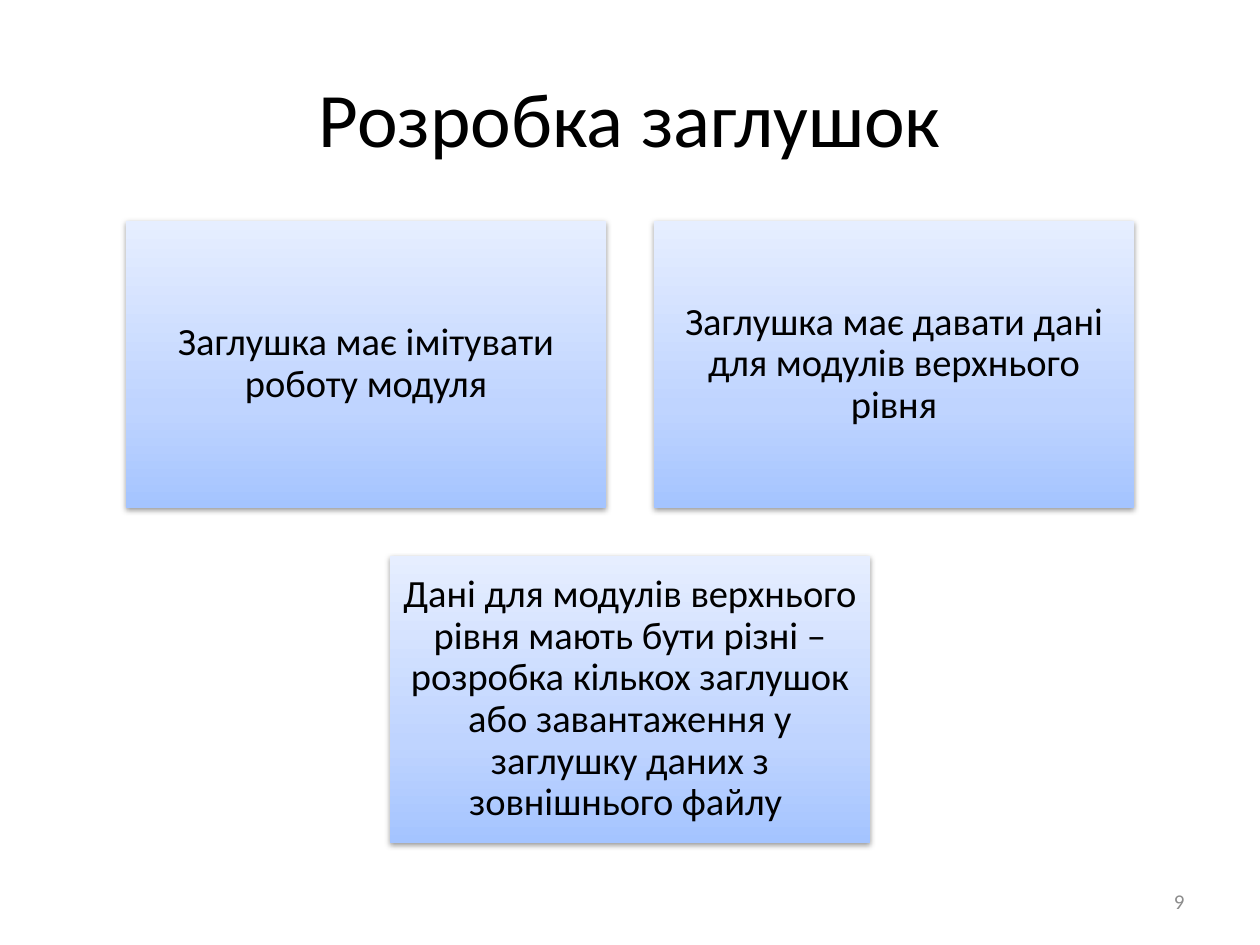
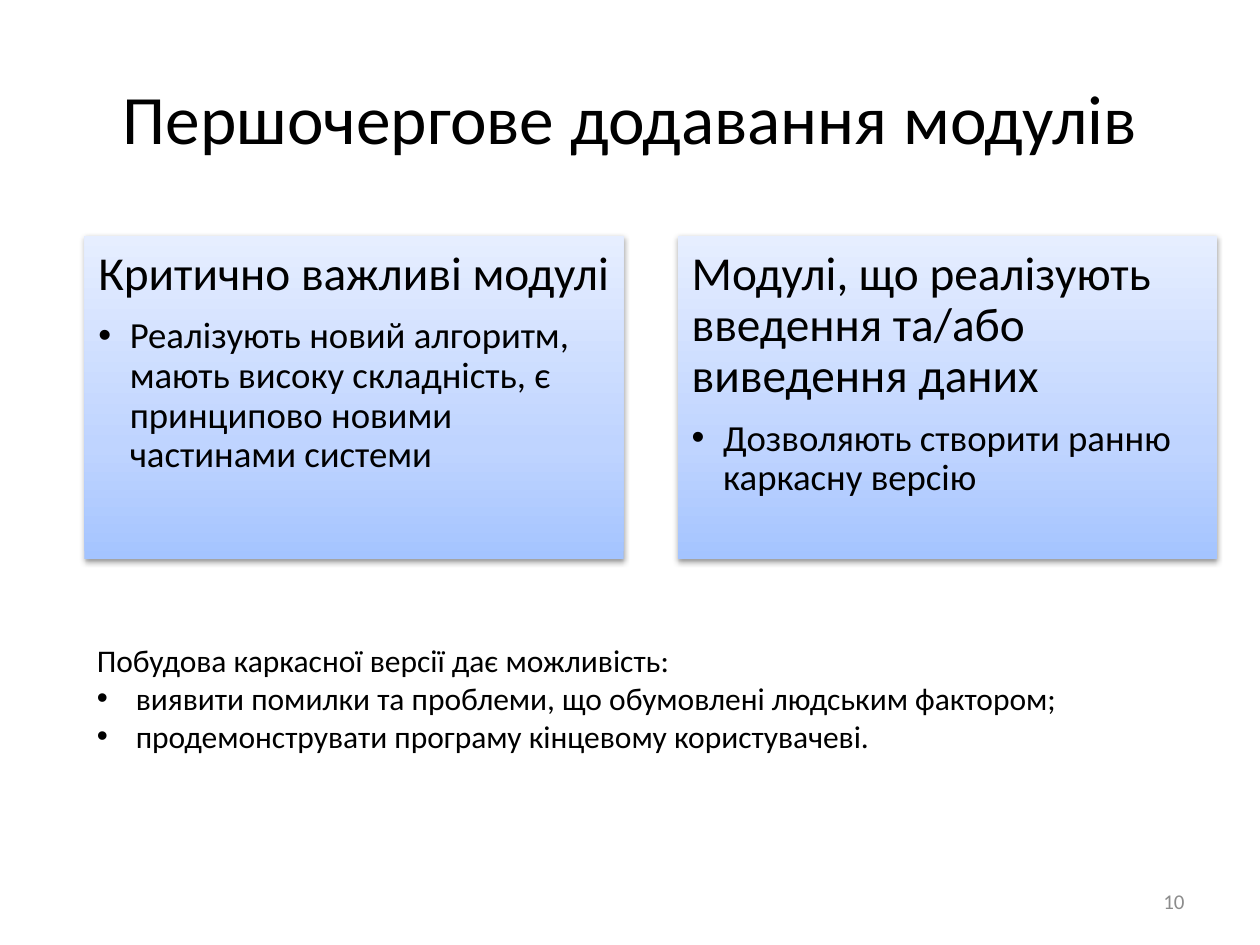
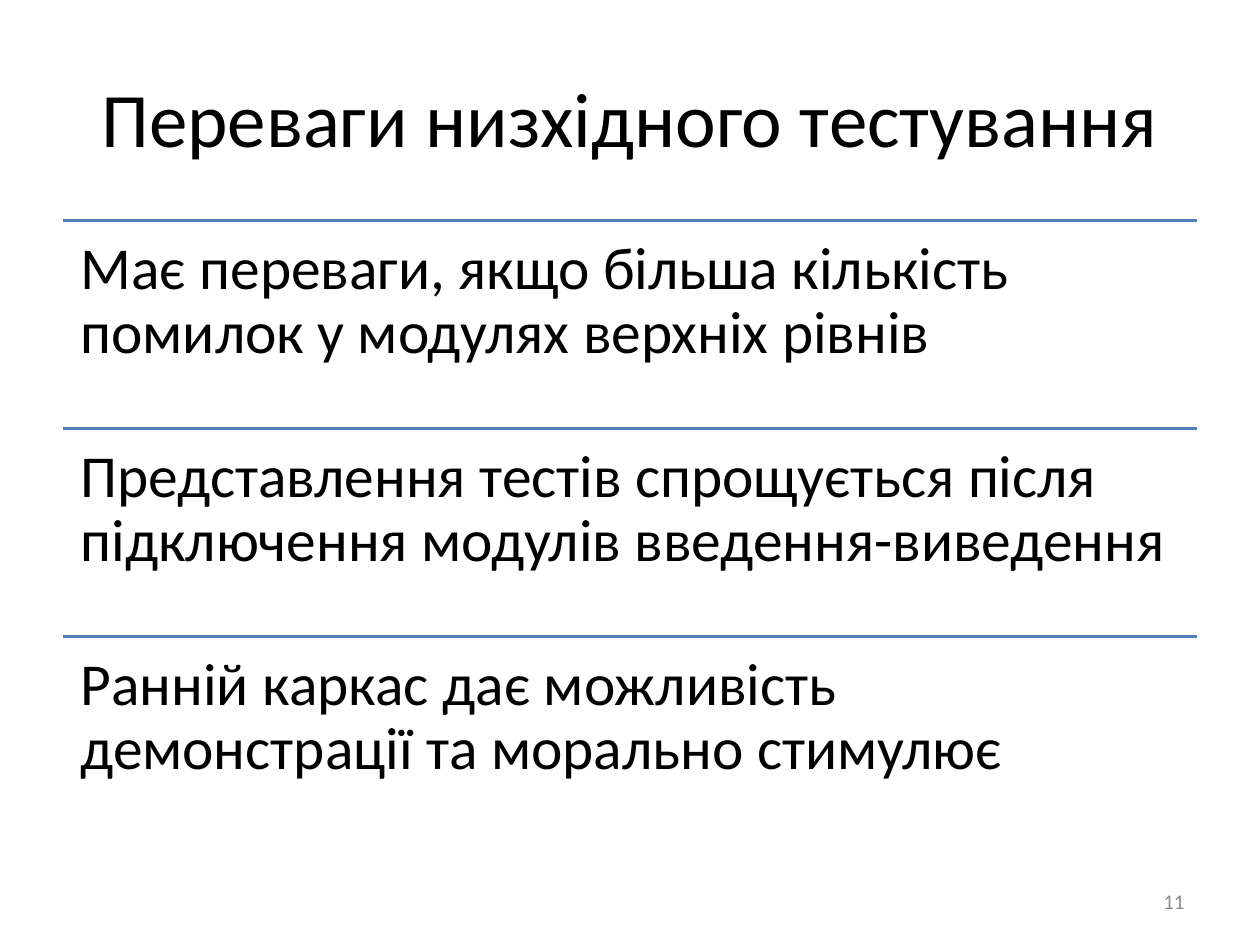
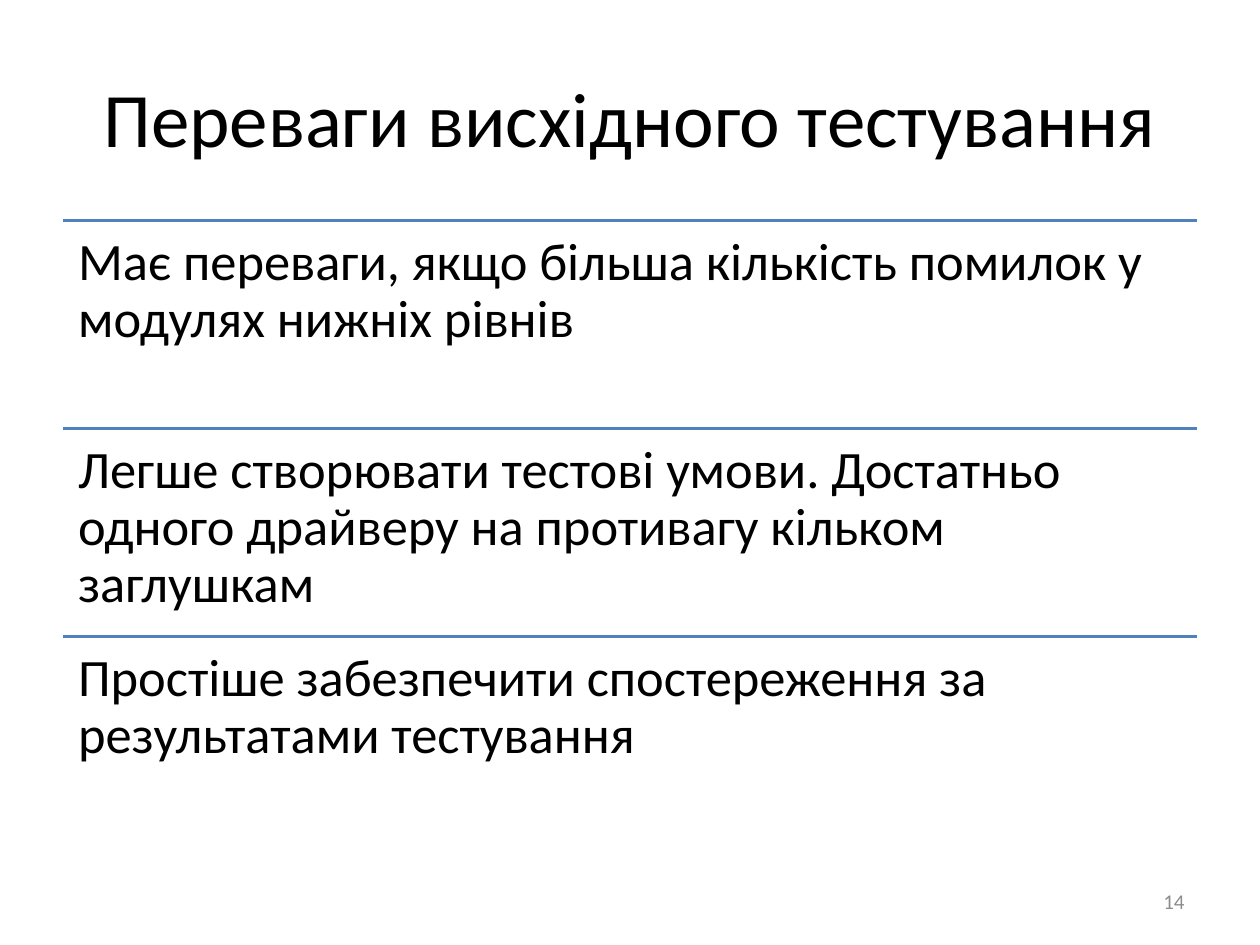
"""Build four slides on top-down and bottom-up integration testing."""
from copy import deepcopy

from lxml import etree
from pptx import Presentation
from pptx.dml.color import RGBColor
from pptx.enum.shapes import MSO_CONNECTOR, MSO_SHAPE
from pptx.enum.text import MSO_ANCHOR, MSO_AUTO_SIZE, PP_ALIGN
from pptx.oxml import parse_xml
from pptx.oxml.ns import nsdecls, qn
from pptx.util import Inches, Pt

RECTANGLE = MSO_SHAPE.RECTANGLE
STRAIGHT = MSO_CONNECTOR.STRAIGHT
LEFT, CENTER, RIGHT = PP_ALIGN.LEFT, PP_ALIGN.CENTER, PP_ALIGN.RIGHT
TOP, MIDDLE = MSO_ANCHOR.TOP, MSO_ANCHOR.MIDDLE
NO_AUTOFIT = MSO_AUTO_SIZE.NONE

FONT = "Calibri"
BLACK, GREY, RULE_BLUE = "000000", "8C8C8C", "4F81BD"
CARD_STOPS = [(0, "A4C4FF"), (0.35, "BFD4FF"), (1, "E6EEFF")]
SLIDE_WIDTH, SLIDE_HEIGHT = 10, 7.5
TITLE_ONLY = 5


def color(value):
    """Turn a hex string into a colour."""
    return RGBColor.from_string(value)


def format_paragraph(paragraph, size, align=LEFT, ink=BLACK, spacing=None):
    """Set the alignment, line spacing and font of a paragraph."""
    paragraph.alignment = align
    paragraph.line_spacing = spacing
    for run in paragraph.runs:
        run.font.name = FONT
        run.font.size = Pt(size)
        run.font.color.rgb = color(ink)


def add_bullet(paragraph, indent):
    """Give a paragraph a round bullet with a hanging indent."""
    properties = paragraph._p.get_or_add_pPr()
    properties.set("marL", str(Inches(indent)))
    properties.set("indent", str(-Inches(indent)))
    etree.SubElement(properties, qn("a:buFont")).set("typeface", "Arial")
    etree.SubElement(properties, qn("a:buChar")).set("char", "•")


def set_frame(frame, anchor=TOP, inset=None):
    """Set wrapping, anchor and equal insets of a text frame."""
    frame.word_wrap = True
    frame.auto_size = NO_AUTOFIT
    frame.vertical_anchor = anchor
    if inset is not None:
        frame.margin_left = frame.margin_right = Inches(inset)
        frame.margin_top = frame.margin_bottom = Inches(inset)


def add_text(slide, text, box, size, anchor=TOP, inset=None, **style):
    """Add a text box, one paragraph for each line, and return its frame."""
    frame = slide.shapes.add_textbox(*map(Inches, box)).text_frame
    set_frame(frame, anchor, inset)
    frame.text = text
    for paragraph in frame.paragraphs:
        format_paragraph(paragraph, size, **style)
    return frame


def add_slide(deck, title, number, title_size=44):
    """Add a slide with its title and page number."""
    slide = deck.slides.add_slide(deck.slide_layouts[TITLE_ONLY])
    heading = slide.shapes.title
    heading.left, heading.top = Inches(0.5), Inches(0.3)
    heading.width, heading.height = Inches(9), Inches(1.25)
    set_frame(heading.text_frame, MIDDLE)
    heading.text_frame.text = title
    format_paragraph(heading.text_frame.paragraphs[0], title_size, CENTER)
    add_text(slide, str(number), (7.17, 6.95, 2.33, 0.4), 12, MIDDLE,
             align=RIGHT, ink=GREY)
    return slide


def add_card(slide, text, box, anchor, inset):
    """Add a shaded card with a soft shadow and return its text frame."""
    card = slide.shapes.add_shape(RECTANGLE, *map(Inches, box))
    card.line.fill.background()
    card.fill.gradient()
    card.fill.gradient_angle = 90
    properties = card._element.spPr
    stop_list = properties.find(".//" + qn("a:gsLst"))
    stop_list.append(deepcopy(stop_list[-1]))
    for stop, (position, shade) in zip(card.fill.gradient_stops, CARD_STOPS):
        stop.position = position
        stop.color.rgb = color(shade)
    card.shadow.inherit = False
    properties.find(qn("a:effectLst")).append(parse_xml(
        f'<a:outerShdw {nsdecls("a")} blurRad="{Pt(3.1)}" dist="{Pt(1.6)}" '
        'dir="5400000" rotWithShape="0"><a:srgbClr val="000000">'
        '<a:alpha val="38000"/></a:srgbClr></a:outerShdw>'))
    set_frame(card.text_frame, anchor, inset)
    card.text_frame.text = text
    return card.text_frame


def add_card_rows(slide, rows):
    """Lay out rows of equal cards, each row centred on the slide."""
    width, height, gap = 3.81, 2.28, 0.38
    for row, texts in enumerate(rows):
        row_width = len(texts) * (width + gap) - gap
        start = (SLIDE_WIDTH - row_width) / 2
        for column, text in enumerate(texts):
            box = (start + column * (width + gap),
                   1.75 + row * (height + gap), width, height)
            frame = add_card(slide, text, box, MIDDLE, 0.09)
            format_paragraph(frame.paragraphs[0], 22, CENTER, spacing=0.9)


def add_module_cards(slide, modules):
    """Add side-by-side cards with a heading and one bullet each."""
    for column, (heading, detail) in enumerate(modules):
        box = (0.67 + column * 4.71, 1.87, 4.28, 2.57)
        frame = add_card(slide, f"{heading}\n{detail}", box, TOP, 0.11)
        head, bullet = frame.paragraphs
        format_paragraph(head, 27, spacing=0.9)
        head.space_after = Pt(9.5)
        bullet.level = 1
        format_paragraph(bullet, 21, spacing=0.9)
        add_bullet(bullet, 0.25)


def add_ruled_list(slide, advantages, size, inset):
    """Add statements in equal rows, each under a blue rule."""
    left, width, height = 0.5, 9, 1.65
    for row, advantage in enumerate(advantages):
        top = 1.75 + row * height
        rule = slide.shapes.add_connector(
            STRAIGHT, Inches(left), Inches(top), Inches(left + width), Inches(top))
        rule.line.color.rgb = color(RULE_BLUE)
        rule.line.width = Pt(2)
        etree.SubElement(rule._element.spPr, qn("a:effectLst"))
        add_text(slide, advantage, (left, top, width, height), size,
                 inset=inset, spacing=0.9)


def main():
    """Build and save the presentation."""
    deck = Presentation()
    deck.slide_width, deck.slide_height = Inches(SLIDE_WIDTH), Inches(SLIDE_HEIGHT)

    stubs = add_slide(deck, "Розробка заглушок", 9)
    add_card_rows(stubs, [
        ["Заглушка має імітувати роботу модуля",
         "Заглушка має давати дані для модулів верхнього рівня"],
        ["Дані для модулів верхнього рівня мають бути різні – розробка кількох "
         "заглушок або завантаження у заглушку даних з зовнішнього файлу "],
    ])

    priority = add_slide(deck, "Першочергове додавання модулів", 10, 39.6)
    add_module_cards(priority, [
        ("Критично важливі модулі",
         "Реалізують новий алгоритм, мають високу складність, є принципово "
         "новими частинами системи"),
        ("Модулі, що реалізують введення та/або виведення даних",
         "Дозволяють створити ранню каркасну версію"),
    ])
    skeleton = add_text(
        priority,
        "Побудова каркасної версії дає можливість:\n"
        "виявити помилки та проблеми, що обумовлені людським фактором;\n"
        "продемонструвати програму кінцевому користувачеві.",
        (0.67, 5.04, 7.9, 1.31), 18)
    for benefit in skeleton.paragraphs[1:]:
        add_bullet(benefit, 0.31)

    top_down = add_slide(deck, "Переваги низхідного тестування", 11)
    add_ruled_list(top_down, [
        "Має переваги, якщо більша кількість помилок у модулях верхніх рівнів",
        "Представлення тестів спрощується після підключення модулів "
        "введення-виведення",
        "Ранній каркас дає можливість демонстрації та морально стимулює",
    ], 34, 0.14)

    bottom_up = add_slide(deck, "Переваги висхідного тестування", 14)
    add_ruled_list(bottom_up, [
        "Має переваги, якщо більша кількість помилок у модулях нижніх рівнів",
        "Легше створювати тестові умови. Достатньо одного драйверу на "
        "противагу кільком заглушкам",
        "Простіше забезпечити спостереження за результатами тестування",
    ], 30, 0.12)

    deck.save("out.pptx")


if __name__ == "__main__":
    main()
